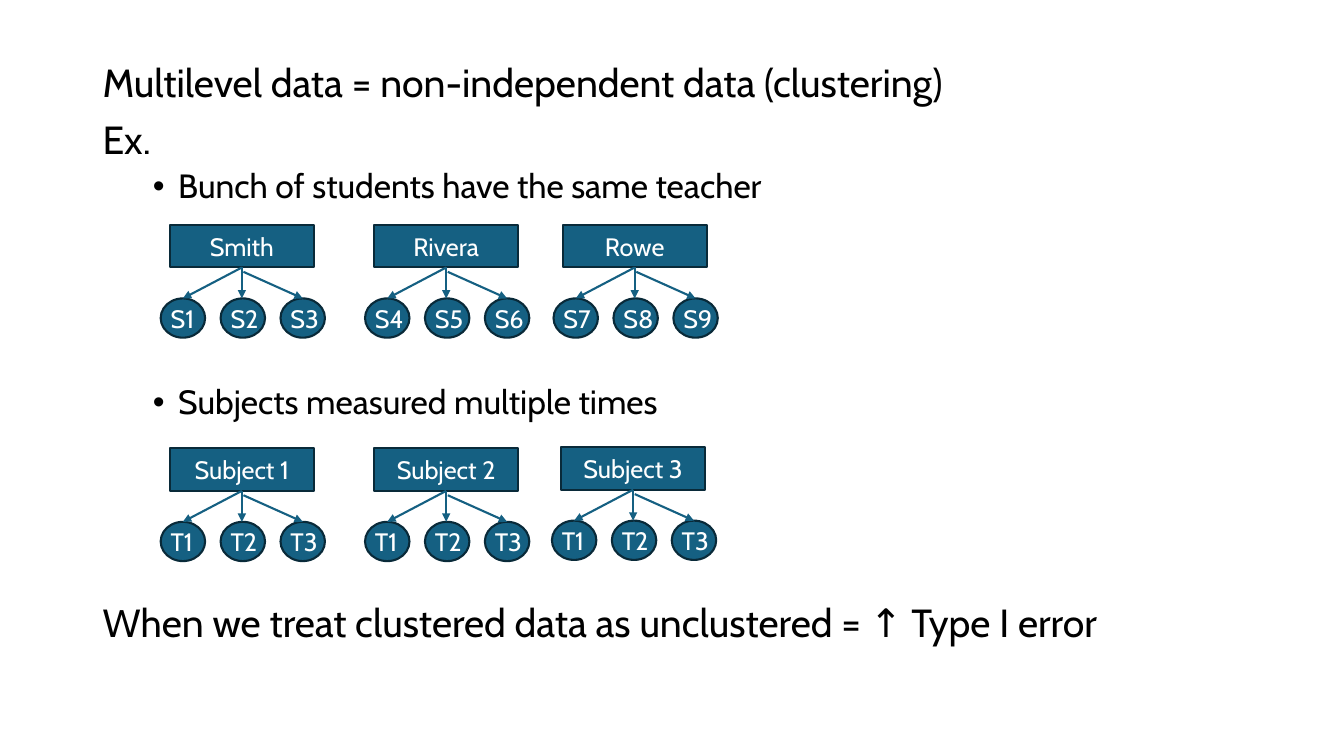
import pptx
import pptx.dml.color
import pptx.enum.shapes
import pptx.enum.text
import pptx.util
from pptx.oxml.ns import qn
from pptx.util import Cm

FONT = "Cabin"
BLUE, NAVY, WHITE, BLACK = "156082", "092A39", "FFFFFF", "000000"
BOX_W, BOX_H = 3.63, 1.08
BALL_W, BALL_H = 1.12, 0.99
BALL_X, BALL_Y, STEP = -0.23, 1.86, 1.51

# Text, size, space before, bulleted
LINES = [
    ("Multilevel data = non-independent data (clustering)", 28, 10, False),
    ("Ex.", 28, 10, False),
    ("Bunch of students have the same teacher", 24, 5, True),
    ("Subjects measured multiple times", 24, 128.5, True),
    ("When we treat clustered data as unclustered = ↑ Type I error",
     28, 130, False),
]
# Left, top, parent, children
TREES = [
    (4.28, 5.66, "Smith", ("S1", "S2", "S3")),
    (9.43, 5.66, "Rivera", ("S4", "S5", "S6")),
    (14.18, 5.66, "Rowe", ("S7", "S8", "S9")),
    (4.28, 11.29, "Subject 1", ("T1", "T2", "T3")),
    (9.43, 11.29, "Subject 2", ("T1", "T2", "T3")),
    (14.14, 11.26, "Subject 3", ("T1", "T2", "T3")),
]


def rgb(code):
    return pptx.dml.color.RGBColor.from_string(code)


def add_run(para, text, size, color):
    run = para.add_run()
    run.text = text
    run.font.name = FONT
    run.font.size = pptx.util.Pt(size)
    run.font.color.rgb = rgb(color)


def set_bullet(para, shown):
    """Give the paragraph a hanging round bullet, or none at all."""
    props = para._p.get_or_add_pPr()
    if shown:
        para.level = 1
        props.set("marL", str(Cm(1.905)))
        props.set("indent", str(Cm(-0.635)))
        font = props.makeelement(qn("a:buFont"), {"typeface": "Arial"})
        mark = props.makeelement(qn("a:buChar"), {"char": "•"})
        props.extend([font, mark])
    else:
        props.set("marL", "0")
        props.set("indent", "0")
        props.append(props.makeelement(qn("a:buNone"), {}))


def fill_body(body):
    body.left, body.top = Cm(2.33), Cm(1.48)
    body.width, body.height = Cm(29.21), Cm(16.74)
    frame = body.text_frame
    frame.word_wrap = True
    frame.auto_size = pptx.enum.text.MSO_AUTO_SIZE.NONE
    frame.vertical_anchor = pptx.enum.text.MSO_ANCHOR.TOP
    for i, (text, size, gap, shown) in enumerate(LINES):
        para = frame.add_paragraph() if i else frame.paragraphs[0]
        para.line_spacing = 0.9
        para.space_before = pptx.util.Pt(gap)
        set_bullet(para, shown)
        add_run(para, text, size, BLACK)


def add_block(slide, kind, x, y, w, h):
    block = slide.shapes.add_shape(kind, Cm(x), Cm(y), Cm(w), Cm(h))
    block.shadow.inherit = False
    block.fill.solid()
    block.fill.fore_color.rgb = rgb(BLUE)
    block.line.color.rgb = rgb(NAVY)
    block.line.width = pptx.util.Pt(1.5)
    return block


def add_box(slide, text, x, y):
    kind = pptx.enum.shapes.MSO_SHAPE.RECTANGLE
    frame = add_block(slide, kind, x, y, BOX_W, BOX_H).text_frame
    frame.vertical_anchor = pptx.enum.text.MSO_ANCHOR.MIDDLE
    para = frame.paragraphs[0]
    para.alignment = pptx.enum.text.PP_ALIGN.CENTER
    add_run(para, text, 18, WHITE)


def add_ball(slide, text, x, y):
    kind = pptx.enum.shapes.MSO_SHAPE.OVAL
    add_block(slide, kind, x, y, BALL_W, BALL_H)
    label = slide.shapes.add_textbox(Cm(x), Cm(y), Cm(1.47), Cm(1.02))
    label.text_frame.word_wrap = True
    add_run(label.text_frame.paragraphs[0], text, 18, WHITE)


def add_arrow(slide, x1, y1, x2, y2):
    kind = pptx.enum.shapes.MSO_CONNECTOR.STRAIGHT
    arrow = slide.shapes.add_connector(kind, Cm(x1), Cm(y1), Cm(x2), Cm(y2))
    arrow.line.color.rgb = rgb(BLUE)
    arrow.line.width = pptx.util.Pt(1.5)
    line = arrow.line._get_or_add_ln()
    line.append(line.makeelement(qn("a:tailEnd"), {"type": "triangle"}))
    props = arrow._element.spPr
    props.append(props.makeelement(qn("a:effectLst"), {}))


def add_tree(slide, x, y, parent, kids):
    """Draw a parent box with arrows down to its row of children."""
    add_box(slide, parent, x, y)
    mid, foot, row = x + BOX_W / 2, y + BOX_H, y + BALL_Y
    first = x + BALL_X
    for i, kid in enumerate(kids):
        add_ball(slide, kid, first + i * STEP, row)
    add_arrow(slide, mid, foot, first + BALL_W / 2, row)
    add_arrow(slide, mid, foot, mid, row)
    add_arrow(slide, mid + 0.04, foot + 0.11,
              first + 2 * STEP + BALL_W / 2, row)


def main():
    deck = pptx.Presentation()
    deck.slide_width, deck.slide_height = Cm(33.87), Cm(19.05)
    slide = deck.slides.add_slide(deck.slide_layouts[1])
    title = slide.shapes.title._element
    title.getparent().remove(title)
    fill_body(slide.placeholders[1])
    for tree in TREES:
        add_tree(slide, *tree)
    deck.save("out.pptx")


if __name__ == "__main__":
    main()
